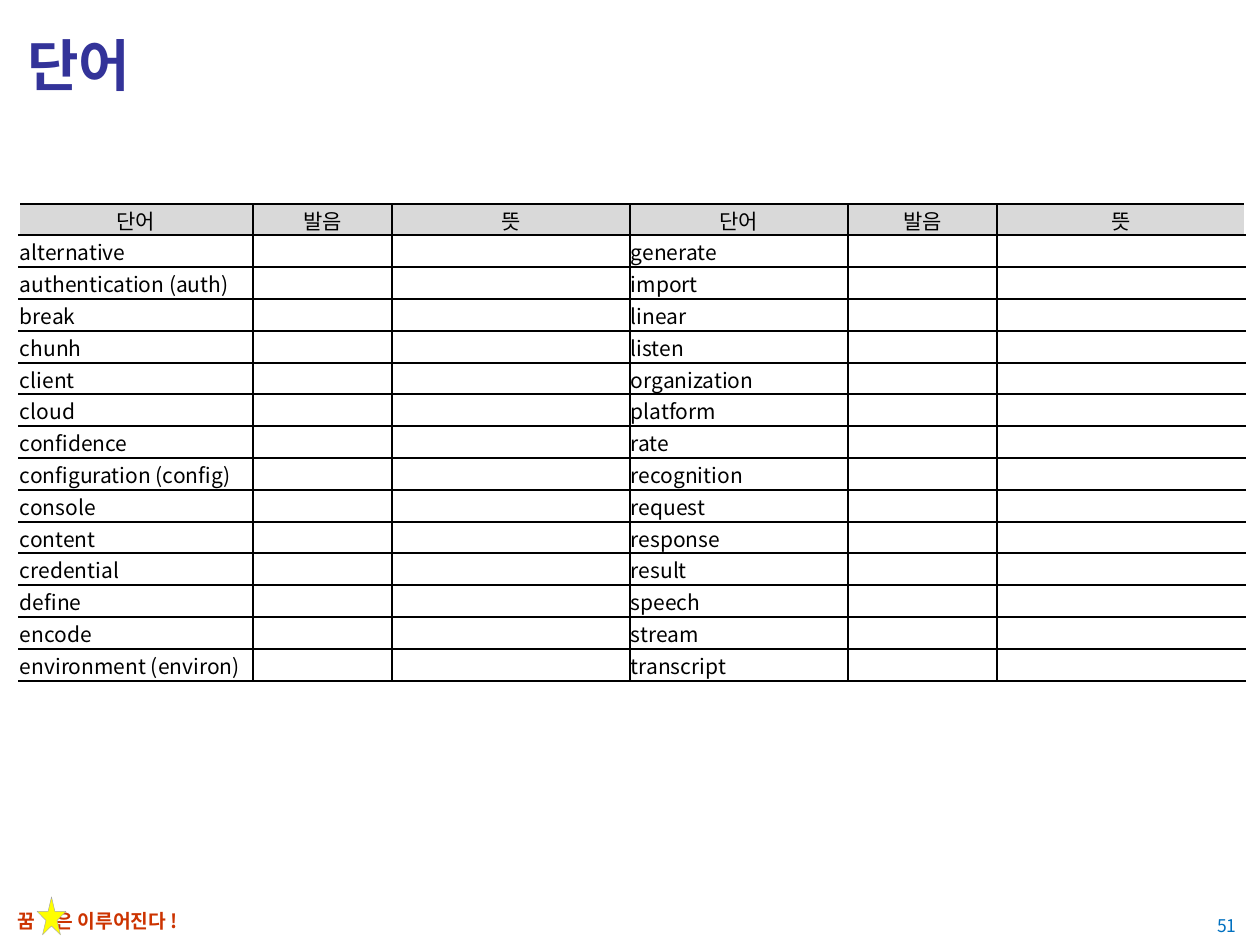
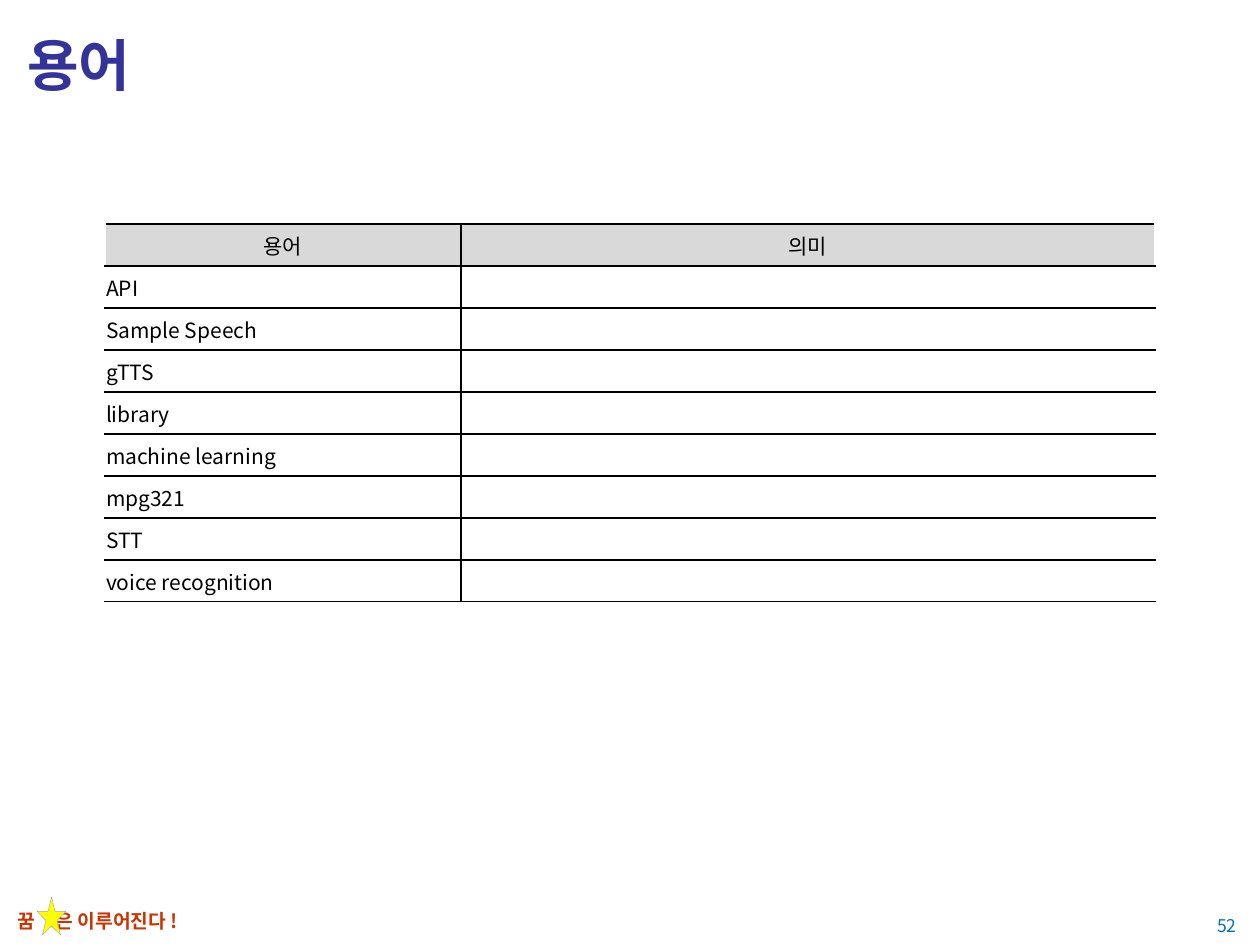
"""Builds the vocabulary and terminology slides of a Korean course deck."""
from itertools import zip_longest

from lxml import etree
from pptx import Presentation
from pptx import util as u
from pptx.dml.color import RGBColor
from pptx.enum import shapes, text
from pptx.oxml.ns import qn

EMU_PER_PX = 914400 / 126
FONT = "Noto Sans CJK KR"
COLORS = {
    "title": "333399",
    "motto": "CC3300",
    "number": "0070C0",
    "star": "FFFF00",
    "star_edge": "A6A6A6",
    "header": "D9D9D9",
    "ink": "000000",
    "paper": "FFFFFF",
}
WORDS_LEFT = [
    "alternative", "authentication (auth)", "break", "chunh", "client",
    "cloud", "confidence", "configuration (config)", "console", "content",
    "credential", "define", "encode", "environment (environ)",
]
WORDS_RIGHT = [
    "generate", "import", "linear", "listen", "organization", "platform",
    "rate", "recognition", "request", "response", "result", "speech",
    "stream", "transcript",
]
TERMS = [
    "API", "Sample Speech", "gTTS", "library", "machine learning", "mpg321",
    "STT", "voice recognition",
]


def px(length):
    """Turn a length in px into EMU."""
    return u.Emu(round(length * EMU_PER_PX))


def color(name):
    """Look up a colour of the deck."""
    return RGBColor.from_string(COLORS[name])


def format_runs(para, size, color_name, bold=False):
    """Give every run of a paragraph the deck font, a size and a colour."""
    for span in para.runs:
        span.font.size = u.Pt(size)
        span.font.bold = bold
        span.font.color.rgb = color(color_name)
        span.font.name = FONT
        properties = span.font._element
        etree.SubElement(properties, qn("a:ea"), typeface=FONT)


def add_text(slide, area, content, size, color_name, bold=False,
             align=text.PP_ALIGN.LEFT, anchor=text.MSO_ANCHOR.MIDDLE):
    """Add a one-paragraph text box and return it."""
    box = slide.shapes.add_textbox(*map(px, area))
    frame = box.text_frame
    frame.word_wrap = True
    frame.vertical_anchor = anchor
    para = frame.paragraphs[0]
    para.text = content
    para.alignment = align
    format_runs(para, size, color_name, bold)
    return box


def add_tab_stop(para, position):
    """Put a left tab stop into a paragraph."""
    tabs = etree.SubElement(para._p.get_or_add_pPr(), qn("a:tabLst"))
    etree.SubElement(tabs, qn("a:tab"), pos=str(px(position)), algn="l")


def add_motto(slide):
    """Add the footer motto with its star."""
    box = add_text(slide, (5, 905, 659, 35), "꿈\t은 이루어진다 !", 11, "motto",
                   bold=True, anchor=text.MSO_ANCHOR.TOP)
    box.text_frame.margin_top = box.text_frame.margin_bottom = px(4)
    add_tab_stop(box.text_frame.paragraphs[0], 38)
    star = slide.shapes.add_shape(shapes.MSO_SHAPE.STAR_5_POINT,
                                  *map(px, (37, 897, 29, 38)))
    star.shadow.inherit = False
    star.fill.solid()
    star.fill.fore_color.rgb = color("star")
    star.line.color.rgb = color("star_edge")
    star.line.width = u.Pt(0.25)


def add_page(deck, title, number):
    """Add a slide with the shared title, motto and page number."""
    slide = deck.slides.add_slide(deck.slide_layouts[6])
    add_motto(slide)
    add_text(slide, (15, 13, 1230, 103), title, 32, "title", bold=True)
    add_text(slide, (1176, 903, 73, 44), str(number), 10, "number",
             align=text.PP_ALIGN.RIGHT)
    return slide


def set_borders(cell, **sides):
    """Draw 1 pt borders, given as a colour name for each side tag."""
    properties = cell._tc.get_or_add_tcPr()
    for tag, color_name in sides.items():
        line = etree.SubElement(properties, qn(f"a:{tag}"), w=str(u.Pt(1)))
        fill = etree.SubElement(line, qn("a:solidFill"))
        etree.SubElement(fill, qn("a:srgbClr"), val=COLORS[color_name])


def fill_cell(cell, content, is_header, is_first, is_last):
    """Write and style one table cell."""
    set_borders(cell, lnL="paper" if is_first else "ink",
                lnR="paper" if is_last else "ink", lnT="ink", lnB="ink")
    cell.fill.solid()
    cell.fill.fore_color.rgb = color("header" if is_header else "paper")
    cell.vertical_anchor = text.MSO_ANCHOR.MIDDLE
    cell.margin_left = cell.margin_right = cell.margin_top = px(1)
    cell.margin_bottom = 0
    para = cell.text_frame.paragraphs[0]
    if content:
        para.text = content
        para.alignment = (text.PP_ALIGN.CENTER if is_header
                          else text.PP_ALIGN.LEFT)
        format_runs(para, 12, "ink")
    else:
        para._p.get_or_add_endParaRPr().set("sz", "1200")


def add_grid(slide, left, top, height, widths, rows):
    """Add a table with open sides, a grey header and even rows."""
    count = len(rows)
    area = (left, top, sum(widths), height)
    table = slide.shapes.add_table(count, len(widths), *map(px, area)).table
    table.first_row = table.horz_banding = False
    for column, width in zip(table.columns, widths):
        column.width = px(width)
    for i, values in enumerate(rows):
        table.rows[i].height = px(height * (i + 1) // count
                                  - height * i // count)
        for j, (_, value) in enumerate(zip_longest(widths, values)):
            fill_cell(table.cell(i, j), value, i == 0, j == 0,
                      j == len(widths) - 1)


def main():
    """Build and save the deck."""
    deck = Presentation()
    deck.slide_width, deck.slide_height = px(1260), px(945)

    words = add_page(deck, "단어", 51)
    word_rows = [["단어", "발음", "뜻"] * 2]
    word_rows += [[first, "", "", second, "", ""]
                  for first, second in zip(WORDS_LEFT, WORDS_RIGHT)]
    add_grid(words, 19, 204, 477, [234, 139, 238, 218, 149, 248], word_rows)

    terms = add_page(deck, "용어", 52)
    term_rows = [["용어", "의미"]] + [[term, ""] for term in TERMS]
    add_grid(terms, 105, 224, 378, [356, 694], term_rows)

    deck.save("out.pptx")


if __name__ == "__main__":
    main()
